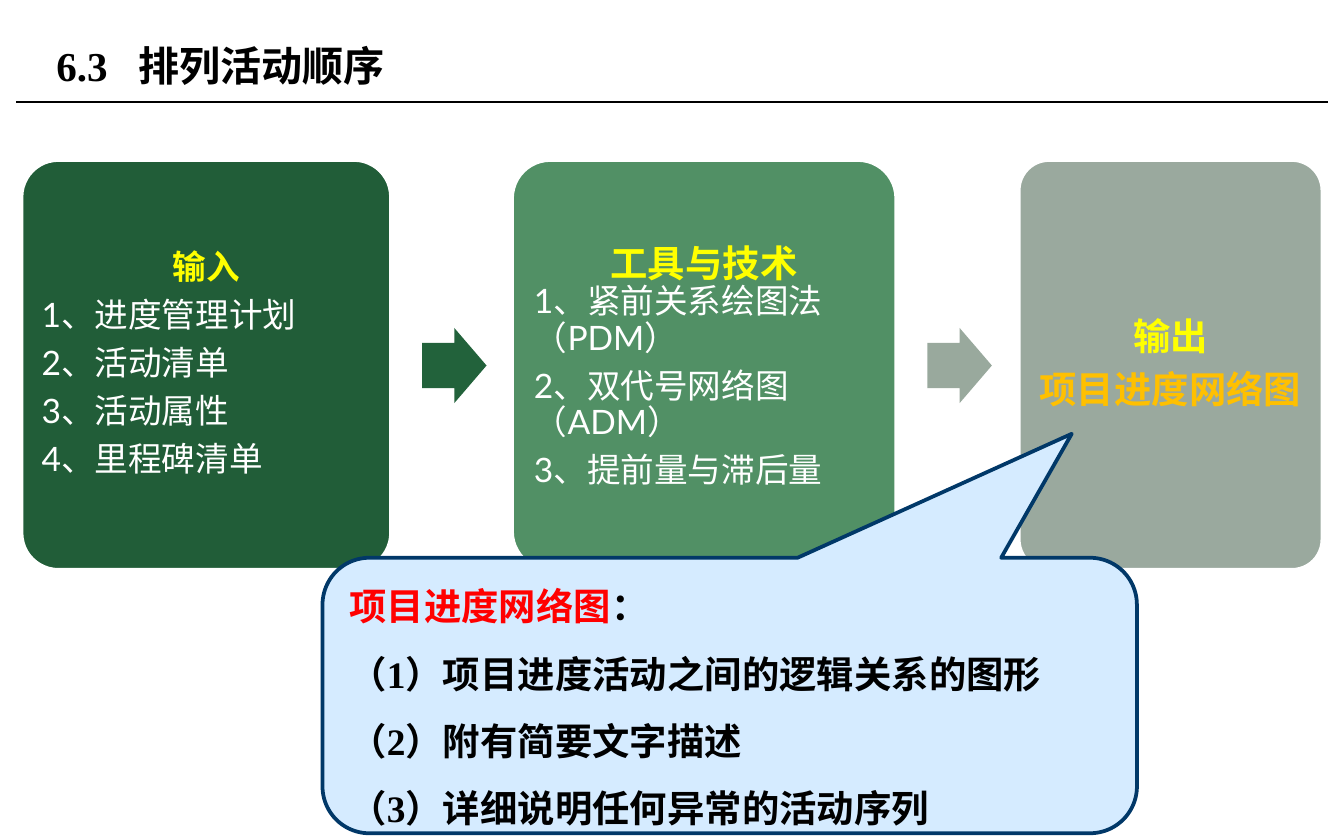
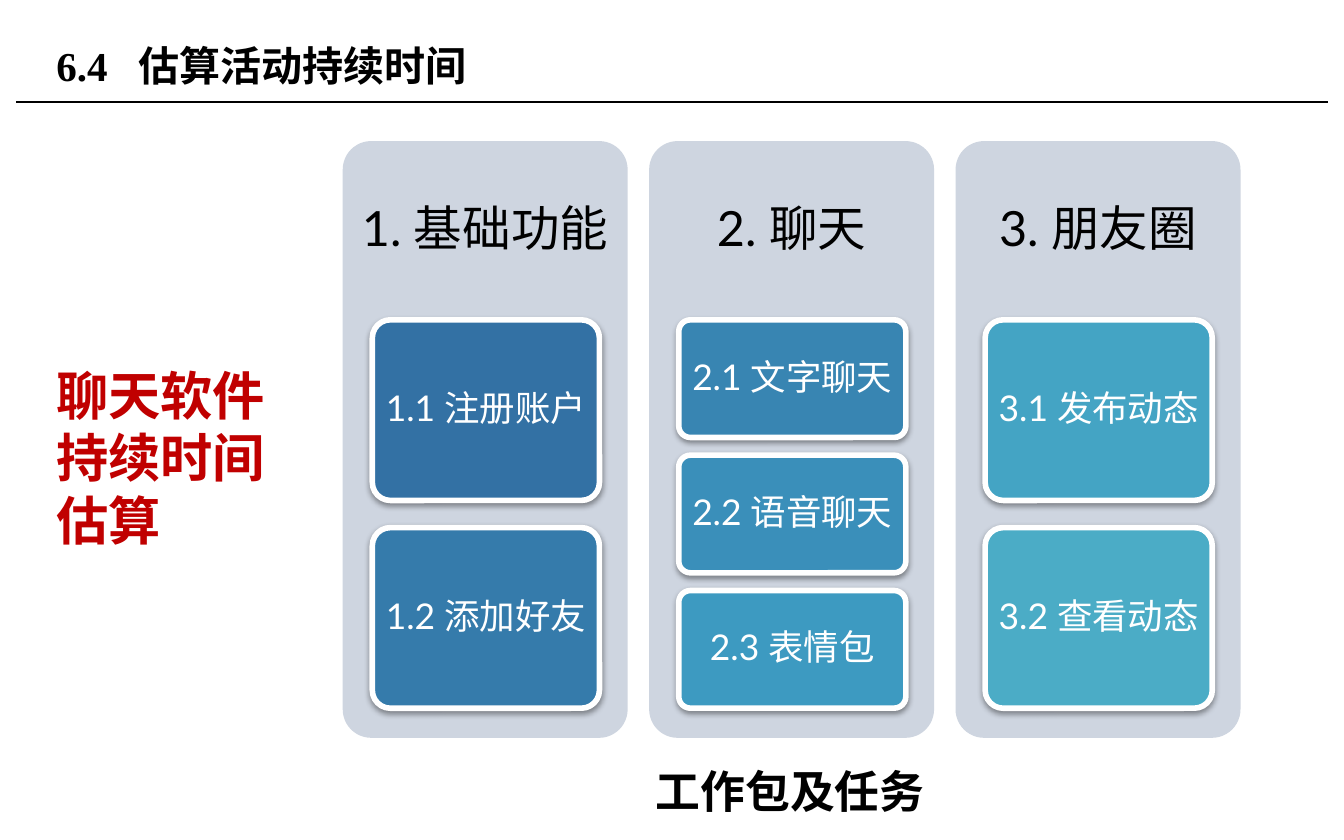
"""Build two slides on sequencing activities and estimating their durations."""
from lxml import etree
from pptx import Presentation
from pptx import util as u
from pptx.dml import color
from pptx.enum import shapes, text
from pptx.oxml import ns

MSO = shapes.MSO_SHAPE
LEFT, CENTER = text.PP_ALIGN.LEFT, text.PP_ALIGN.CENTER
rgb = color.RGBColor.from_string
BLACK, WHITE, YELLOW, RED = "000000", "FFFFFF", "FFFF00", "C00000"
SERIF, SANS = "Times New Roman", "Lato"


def add_box(s, kind, at, fill, line=None, width=2, adj=(0.1,)):
    """Add a preset shape without shadow."""
    sp = s.shapes.add_shape(kind, *map(u.Inches, at))
    for i, a in enumerate(adj):
        sp.adjustments[i] = a
    sp.fill.solid()
    sp.fill.fore_color.rgb = rgb(fill)
    if line:
        sp.line.color.rgb = rgb(line)
        sp.line.width = u.Pt(width)
    else:
        sp.line.fill.background()
    sp.shadow.inherit = False
    return sp


def write(tf, paras, font=SANS, spacing=0.9, after=0.35, margins=(0.1, 0.05, 0.1, 0.05)):
    """Fill a text frame with (alignment, [(text, size, colour, bold), ...]) paragraphs."""
    tf.word_wrap = True
    tf.vertical_anchor = text.MSO_ANCHOR.MIDDLE
    tf.margin_left, tf.margin_top, tf.margin_right, tf.margin_bottom = map(u.Inches, margins)
    for i, (align, runs) in enumerate(paras):
        p = tf.add_paragraph() if i else tf.paragraphs[0]
        p.alignment = align
        p.line_spacing = spacing
        p.space_before = u.Pt(0)
        p.space_after = u.Pt(after * runs[0][1])
        for words, size, hue, bold in runs:
            r = p.add_run()
            r.text = words
            r.font.name, r.font.size, r.font.bold = font, u.Pt(size), bold
            r.font.color.rgb = rgb(hue)


prs = Presentation()
prs.slide_width, prs.slide_height = u.Inches(10), u.Inches(6.25)
layout = prs.slide_layouts[5]

slides = []
for number, name in [("6.3", "排列活动顺序"), ("6.4", "估算活动持续时间")]:
    s = prs.slides.add_slide(layout)
    title = s.shapes.title
    title.left, title.top, title.width, title.height = map(u.Inches, (0.32, 0.13, 6.38, 0.71))
    pPr = title.text_frame.paragraphs[0]._p.get_or_add_pPr()
    tabs = etree.SubElement(pPr, ns.qn("a:tabLst"))
    etree.SubElement(tabs, ns.qn("a:tab"), pos=str(u.Inches(0.61)), algn="l")
    write(title.text_frame, [(LEFT, [(f"{number}\t{name}", 22, BLACK, True)])], SERIF, 1, 0)
    slides.append(s)
sequence, duration = slides

rule = sequence.shapes.add_connector(
    shapes.MSO_CONNECTOR.STRAIGHT, *map(u.Inches, (0.12, 0.76, 9.88, 0.76)))
rule.line.color.rgb = rgb(BLACK)
rule.line.width = u.Pt(0.75)
etree.SubElement(rule.element.spPr, ns.qn("a:effectLst"))
layout.shapes.element.append(rule.element)

stages = [
    (0.16, 2.75, "215D38", "22623B", 0.07, ("输入", 18),
     ["1、进度管理计划", "2、活动清单", "3、活动属性", "4、里程碑清单"]),
    (3.81, 2.86, "519065", "99A99D", 0.08, ("工具与技术", 20),
     ["1、紧前关系绘图法（PDM）", "2、双代号网络图（ADM）", "3、提前量与滞后量"]),
    (7.58, 2.26, "9AA99E", None, 0.08, ("输出", 20), []),
]
for left, width, fill, arrow, inset, (head, size), items in stages:
    sp = add_box(sequence, MSO.ROUNDED_RECTANGLE, (left, 1.19, width, 3.05), fill, WHITE)
    paras = [(CENTER, [(head, size, YELLOW, True)])]
    paras += [(LEFT, [(item, 18, WHITE, False)]) for item in items]
    if not items:
        paras.append((CENTER, [("项目进度网络图", 20, "FFC000", True)]))
    write(sp.text_frame, paras, margins=[inset] * 4)
    if head == "工具与技术":
        p = sp.text_frame.paragraphs[0]
        p.line_spacing, p.space_after = 1.0, u.Pt(0)
    if arrow:
        add_box(sequence, MSO.RIGHT_ARROW, (left + width + 0.23, 2.44, 0.48, 0.56),
                arrow, adj=(0.6, 0.5))

callout = add_box(sequence, MSO.ROUNDED_RECTANGULAR_CALLOUT, (2.4, 4.15, 6.06, 2.05),
                  "D5EBFF", "013868", adj=(0.42, -0.95, 0.17))
notes = ["（1）项目进度活动之间的逻辑关系的图形", "（2）附有简要文字描述", "（3）详细说明任何异常的活动序列"]
write(callout.text_frame,
      [(LEFT, [("项目进度网络图", 20, "FF0000", True), ("：", 20, BLACK, True)])]
      + [(LEFT, [(note, 20, BLACK, True)]) for note in notes], SERIF, 1.5, 0)

packages = [
    ("1. 基础功能", [("1.1 注册账户", "3371A4"), ("1.2 添加好友", "357BAB")]),
    ("2. 聊天", [("2.1 文字聊天", "3885B2"), ("2.2 语音聊天", "3A8FBA"), ("2.3 表情包", "3D9AC1")]),
    ("3. 朋友圈", [("3.1 发布动态", "44A4C4"), ("3.2 查看动态", "4BACC6")]),
]
for col, (package, tasks) in enumerate(packages):
    left = 2.55 + 2.28 * col
    panel = add_box(duration, MSO.ROUNDED_RECTANGLE, (left, 1.05, 2.12, 4.44), "CED5E0")
    write(panel.text_frame, [(CENTER, [(package, 26, BLACK, False)])],
          margins=(0.05, 0.05, 0.05, 3.16))
    height = 2.89 / (len(tasks) + 0.15 * (len(tasks) - 1))
    for row, (task, fill) in enumerate(tasks):
        sp = add_box(duration, MSO.ROUNDED_RECTANGLE,
                     (left + 0.22, 2.38 + 1.15 * height * row, 1.69, height), fill, WHITE, 3)
        effects = sp.element.spPr.find(ns.qn("a:effectLst"))
        shadow = etree.SubElement(effects, ns.qn("a:outerShdw"), blurRad=str(u.Pt(3.1)),
                                  dist=str(u.Pt(1.6)), dir="5400000", rotWithShape="0")
        hue = etree.SubElement(shadow, ns.qn("a:srgbClr"), val=BLACK)
        etree.SubElement(hue, ns.qn("a:alpha"), val="38000")
        write(sp.text_frame, [(CENTER, [(task, 19, WHITE, False)])],
              margins=(0.05, 0.04, 0.05, 0.04))

for words, at, size, hue, wrap in [
    ("聊天软件持续时间估算", (0.32, 2.65, 1.92, 1.51), 28, RED, True),
    ("工作包及任务", (4.78, 5.63, 2.22, 0.5), 24, BLACK, False),
]:
    tf = duration.shapes.add_textbox(*map(u.Inches, at)).text_frame
    write(tf, [(LEFT, [(words, size, hue, True)])], spacing=1, after=0)
    tf.word_wrap = wrap
    tf.vertical_anchor = text.MSO_ANCHOR.TOP
    tf.auto_size = text.MSO_AUTO_SIZE.SHAPE_TO_FIT_TEXT

prs.save("out.pptx")
